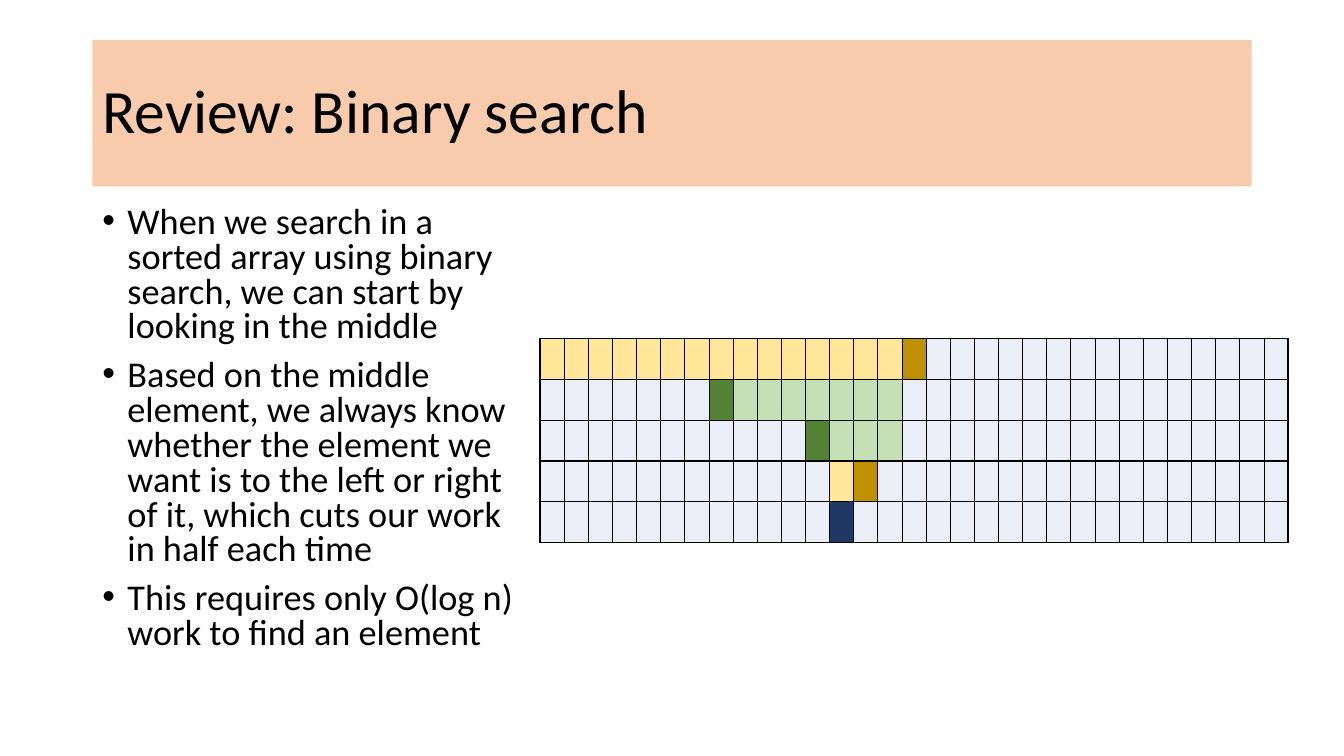
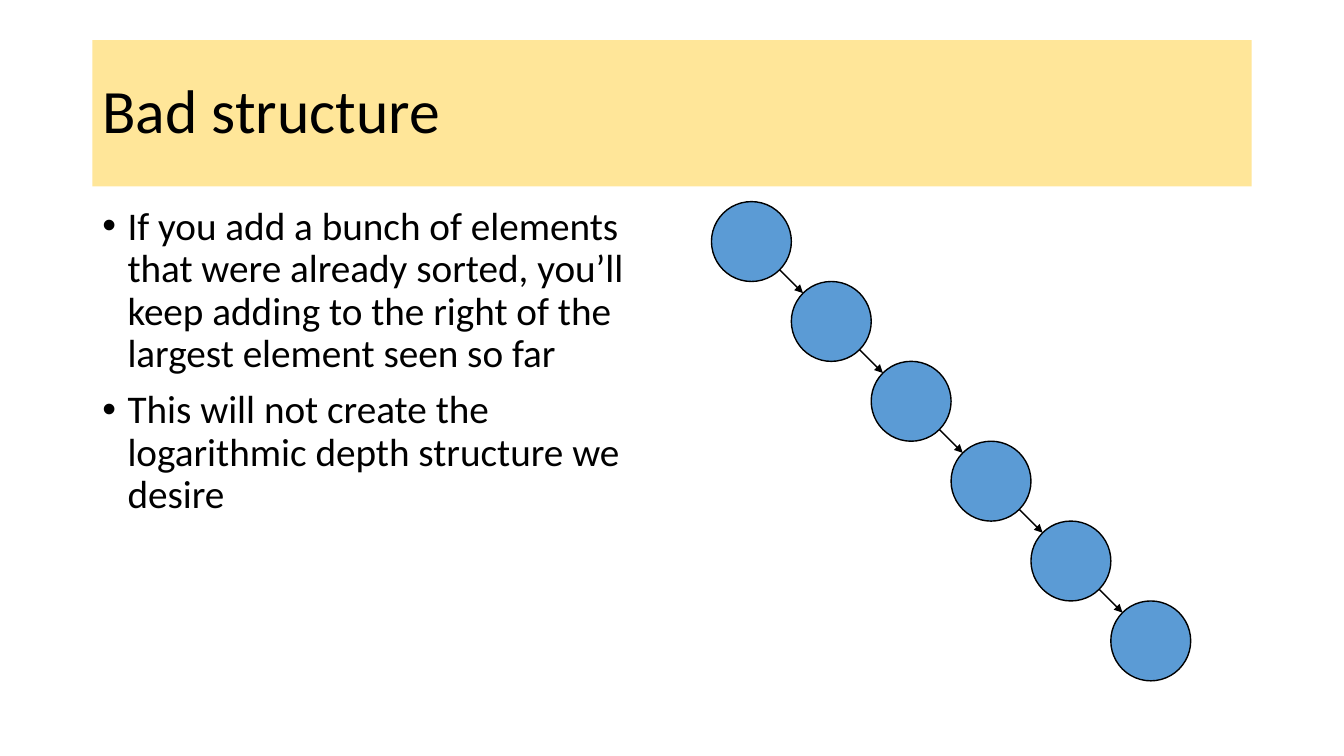
from math import cos, pi

from lxml.etree import SubElement
from pptx import Presentation
from pptx.dml.color import RGBColor
from pptx.enum.shapes import MSO_CONNECTOR, MSO_SHAPE
from pptx.enum.text import MSO_ANCHOR, MSO_AUTO_SIZE, PP_ALIGN
from pptx.oxml.ns import qn
from pptx.util import Pt

COLORS = {
    "text": "000000",
    "line": "000000",
    "peach": "F8CBAD",
    "yellow": "FFE699",
    "gold": "BF9000",
    "light green": "C5E0B4",
    "green": "548235",
    "navy": "203864",
    "cell": "EAEFF7",
    "node": "5B9BD5",
}
FONT = "Calibri"
LEFT = 66
CONTENT_TOP = 144
BODY_HEIGHT = 343

ARRAY_LENGTH = 31
# Each search step: (first column, number of cells, color)
SEARCH_STEPS = [
    [(0, 15, "yellow"), (15, 1, "gold")],
    [(7, 1, "green"), (8, 7, "light green")],
    [(11, 1, "green"), (12, 3, "light green")],
    [(12, 1, "yellow"), (13, 1, "gold")],
    [(12, 1, "navy")],
]


def color(name):
    """Return the named color as an RGB value."""
    return RGBColor.from_string(COLORS[name])


def set_fill(item, name):
    """Fill a shape or a table cell with a named color."""
    item.fill.solid()
    item.fill.fore_color.rgb = color(name)


def set_line(shape):
    """Give a shape or connector the thin black line."""
    shape.line.color.rgb = color("line")
    shape.line.width = Pt(1)


def add_run(paragraph, text, size):
    """Add one run in the common font."""
    run = paragraph.add_run()
    run.text = text
    run.font.name = FONT
    run.font.size = Pt(size)
    run.font.color.rgb = color("text")


def add_titled_slide(presentation, title, band):
    """Add a title-only slide whose title sits on a colored band."""
    slide = presentation.slides.add_slide(presentation.slide_layouts[5])
    shape = slide.shapes.title
    shape.left, shape.top = Pt(LEFT), Pt(28.75)
    shape.width, shape.height = Pt(828), Pt(104.4)
    set_fill(shape, band)
    frame = shape.text_frame
    frame.auto_size = MSO_AUTO_SIZE.NONE
    frame.vertical_anchor = MSO_ANCHOR.MIDDLE
    paragraph = frame.paragraphs[0]
    paragraph.alignment = PP_ALIGN.LEFT
    paragraph.line_spacing = 0.9
    add_run(paragraph, title, 44)
    return slide


def add_bullets(slide, texts, width, size, line_spacing):
    """Add the bulleted text on the left side of the slide."""
    box = slide.shapes.add_textbox(
        Pt(LEFT), Pt(CONTENT_TOP), Pt(width), Pt(BODY_HEIGHT))
    frame = box.text_frame
    frame.word_wrap = True
    for index, text in enumerate(texts):
        paragraph = frame.add_paragraph() if index else frame.paragraphs[0]
        paragraph.line_spacing = line_spacing
        paragraph.space_before = Pt(10)
        properties = paragraph._p.get_or_add_pPr()
        properties.set("marL", str(Pt(18)))
        properties.set("indent", str(Pt(-18)))
        SubElement(properties, qn("a:buFont"), typeface="Arial")
        SubElement(properties, qn("a:buChar"), char="\u2022")
        add_run(paragraph, text, size)


def set_borders(cell, widths):
    """Draw the cell borders, given as a width for each side."""
    properties = cell._tc.get_or_add_tcPr()
    for side, width in widths.items():
        line = SubElement(properties, qn(f"a:ln{side}"), w=str(Pt(width)))
        fill = SubElement(line, qn("a:solidFill"))
        SubElement(fill, qn("a:srgbClr"), val=COLORS["line"])


def add_search_table(slide, left, top, column_width, row_height):
    """Add the array as one table row for each search step."""
    rows = len(SEARCH_STEPS)
    table = slide.shapes.add_table(
        rows, ARRAY_LENGTH, Pt(left), Pt(top),
        Pt(column_width * ARRAY_LENGTH), Pt(row_height * rows)).table
    table.first_row = False
    table.horz_banding = False
    for column in table.columns:
        column.width = Pt(column_width)
    for row, spans in enumerate(SEARCH_STEPS):
        table.rows[row].height = Pt(row_height)
        names = ["cell"] * ARRAY_LENGTH
        for first, count, name in spans:
            names[first:first + count] = [name] * count
        for column, name in enumerate(names):
            cell = table.cell(row, column)
            set_borders(cell, {
                "L": 1 if column == 0 else 0.5,
                "R": 1 if column == ARRAY_LENGTH - 1 else 0.5,
                "T": 1,
                "B": 1,
            })
            set_fill(cell, name)


def add_node(shapes, left, top, diameter):
    """Add one round tree node."""
    node = shapes.add_shape(
        MSO_SHAPE.OVAL, Pt(left), Pt(top), Pt(diameter), Pt(diameter))
    node.shadow.inherit = False
    set_fill(node, "node")
    set_line(node)


def add_arrow(shapes, start, end):
    """Add a straight arrow between two points."""
    arrow = shapes.add_connector(
        MSO_CONNECTOR.STRAIGHT, *(Pt(value) for value in (*start, *end)))
    set_line(arrow)
    SubElement(arrow.line._get_or_add_ln(), qn("a:tailEnd"), type="triangle")
    SubElement(arrow._element.spPr, qn("a:effectLst"))


def add_node_chain(slide, left, top, diameter, count):
    """Add nodes down a diagonal, each with an arrow to the next."""
    shapes = slide.shapes.add_group_shape().shapes
    corners = [(left + diameter * index, top + diameter * index)
               for index in range(count)]
    for x, y in corners:
        add_node(shapes, x, y, diameter)
    reach = diameter / 2 * cos(pi / 4)
    near, far = diameter / 2 + reach, diameter * 1.5 - reach
    for x, y in corners[:-1]:
        add_arrow(shapes, (x + near, y + near), (x + far, y + far))


def add_binary_search_slide(presentation):
    """Build the slide that reviews binary search."""
    slide = add_titled_slide(presentation, "Review: Binary search", "peach")
    add_bullets(slide, [
        "When we search in a sorted array using binary search, we can start "
        "by looking in the middle",
        "Based on the middle element, we always know whether the element we "
        "want is to the left or right of it, which cuts our work in half "
        "each time",
        "This requires only O(log n) work to find an element",
    ], width=319.7, size=25.9, line_spacing=0.8)
    add_search_table(slide, left=385.7, top=241.7,
                     column_width=16.4, row_height=29.2)


def add_bad_structure_slide(presentation):
    """Build the slide that shows a degenerate tree."""
    slide = add_titled_slide(presentation, "Bad structure", "yellow")
    add_bullets(slide, [
        "If you add a bunch of elements that were already sorted, you\u2019ll "
        "keep adding to the right of the largest element seen so far",
        "This will not create the logarithmic depth structure we desire",
    ], width=408, size=28, line_spacing=0.9)
    add_node_chain(slide, left=508.2, top=CONTENT_TOP, diameter=57.05, count=6)


def main():
    """Build and save the presentation."""
    presentation = Presentation()
    presentation.slide_width = Pt(960)
    presentation.slide_height = Pt(540)
    add_binary_search_slide(presentation)
    add_bad_structure_slide(presentation)
    presentation.save("out.pptx")


main()
